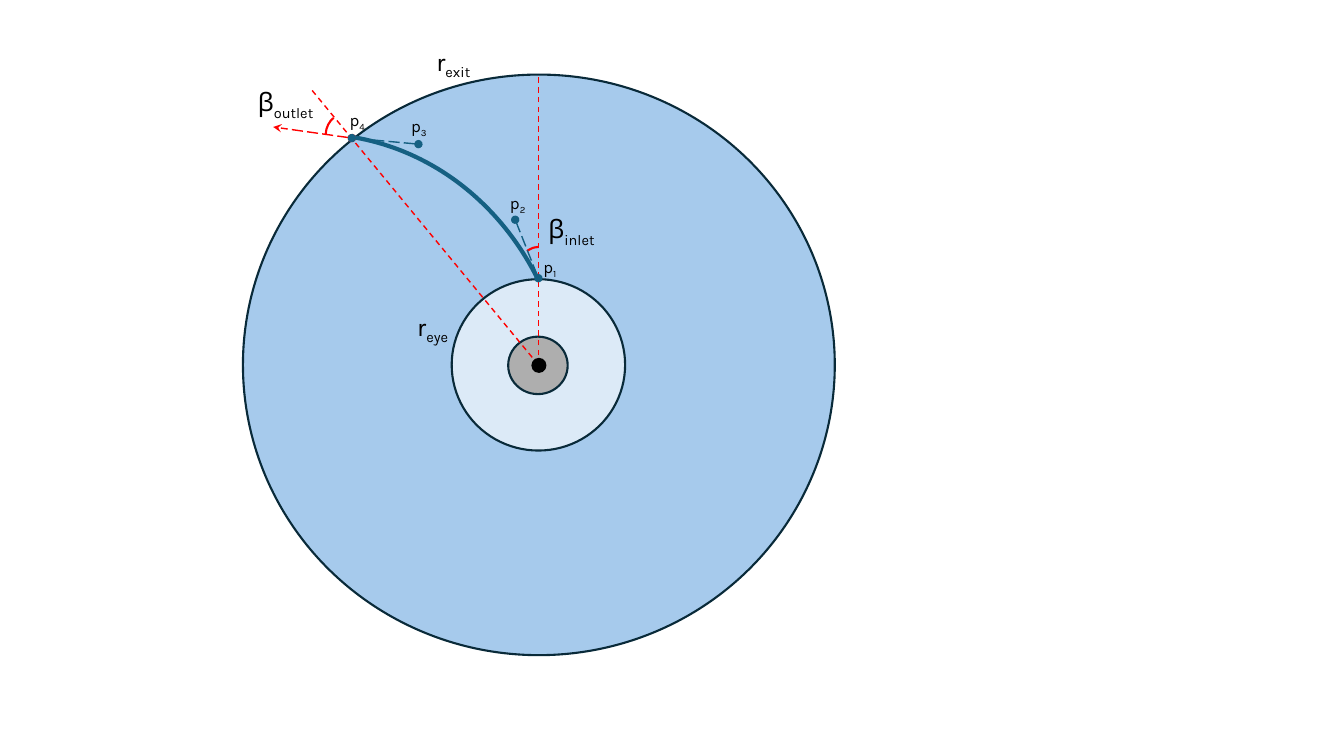
from lxml import etree
from pptx import Presentation
from pptx.dml.color import RGBColor
from pptx.enum.dml import MSO_LINE
from pptx.enum.shapes import MSO_CONNECTOR, MSO_SHAPE
from pptx.enum.text import MSO_AUTO_SIZE
from pptx.oxml.ns import qn
from pptx.util import Inches, Pt

RED, TEAL, NAVY, BLACK = "FF0000", "156082", "092A39", "000000"
DASH, LONG_DASH = MSO_LINE.DASH, MSO_LINE.LONG_DASH
CENTER = (5.34, 3.62)
OUTLET = (3.49, 1.37)


def paint(format_part, color):
    """Give a fill or a font color a solid color."""
    if hasattr(format_part, "solid"):
        format_part.solid()
        format_part = format_part.fore_color
    format_part.rgb = RGBColor.from_string(color)


def add_figure(kind, box, fill=None, line=None, width=1.5):
    """Add a preset shape without shadow."""
    shape = slide.shapes.add_shape(kind, *map(Inches, box))
    shape.shadow.inherit = False
    for target, color in ((shape.fill, fill), (shape.line.fill, line)):
        if color:
            paint(target, color)
        else:
            target.background()
    if line:
        shape.line.width = Pt(width)
    return shape


presentation = Presentation()
presentation.slide_width = Inches(13.33)
presentation.slide_height = Inches(7.5)
slide = presentation.slides.add_slide(presentation.slide_layouts[6])

# Impeller disc, eye and hub
for box, fill in (
    ((2.41, 0.74, 5.87, 5.76), "A6CAEC"),
    ((4.48, 2.77, 1.72, 1.7), "DCEAF7"),
    ((5.04, 3.34, 0.59, 0.57), "AEAEAE"),
):
    add_figure(MSO_SHAPE.OVAL, box, fill, NAVY)

# Blade curve and angle arcs, with start and end in degrees
for box, degrees, color, width in (
    ((0.61, 1.33, 5.03, 5.51), (278.15, 329.68), TEAL, 3),
    ((3.23, 1.13, 0.38, 0.42), (182.17, 237), RED, 1.5),
    ((5.15, 2.45, 0.38, 0.42), (236.37, 270.54), RED, 1.5),
):
    arc = add_figure(MSO_SHAPE.ARC, box, None, color, width)
    for index, angle in enumerate(degrees):
        arc.adjustments[index] = angle * 0.6

# Radii, outlet direction and control handles
for start, end, color, dash, ends in (
    (CENTER, (5.34, 0.74), RED, DASH, {}),
    (CENTER, (3.09, 0.89), RED, DASH, {}),
    (OUTLET, (2.71, 1.26), RED, LONG_DASH, {"headEnd": "oval", "tailEnd": "stealth"}),
    ((5.34, 2.76), (5.11, 2.18), TEAL, LONG_DASH, {"headEnd": "oval", "tailEnd": "oval"}),
    ((4.15, 1.43), OUTLET, TEAL, LONG_DASH, {"headEnd": "oval", "tailEnd": "oval"}),
):
    connector = slide.shapes.add_connector(
        MSO_CONNECTOR.STRAIGHT, *map(Inches, start + end))
    paint(connector.line.fill, color)
    connector.line.width = Pt(1)
    connector.line.dash_style = dash
    properties = connector._element.spPr
    for tag, kind in ends.items():
        etree.SubElement(properties.find(qn("a:ln")), qn(f"a:{tag}"), type=kind)
    etree.SubElement(properties, qn("a:effectLst"))

# Labels with subscripts
for symbol, subscript, left, top, size in (
    ("β", "inlet", 5.34, 2.07, 18),
    ("β", "outlet", 2.46, 0.81, 18),
    ("r", "eye", 4.04, 3.04, 18),
    ("r", "exit", 4.23, 0.41, 18),
    ("p", "1", 5.29, 2.5, 12),
    ("p", "2", 4.96, 1.86, 12),
    ("p", "3", 3.98, 1.1, 12),
    ("p", "4", 3.37, 1.04, 12),
):
    height = 0.4 if size == 18 else 0.3
    label = slide.shapes.add_textbox(*map(Inches, (left, top, 1, height)))
    label.text_frame.word_wrap = True
    label.text_frame.auto_size = MSO_AUTO_SIZE.SHAPE_TO_FIT_TEXT
    paragraph = label.text_frame.paragraphs[0]
    for text in (symbol, subscript):
        run = paragraph.add_run()
        run.text = text
        for name, value in {"name": "Karla", "size": Pt(size)}.items():
            setattr(run.font, name, value)
        paint(run.font.color, BLACK)
    run._r.get_or_add_rPr().set("baseline", "-25000")

# Shaft center
add_figure(MSO_SHAPE.OVAL, (5.27, 3.55, 0.15, 0.15), BLACK)

presentation.save("out.pptx")
